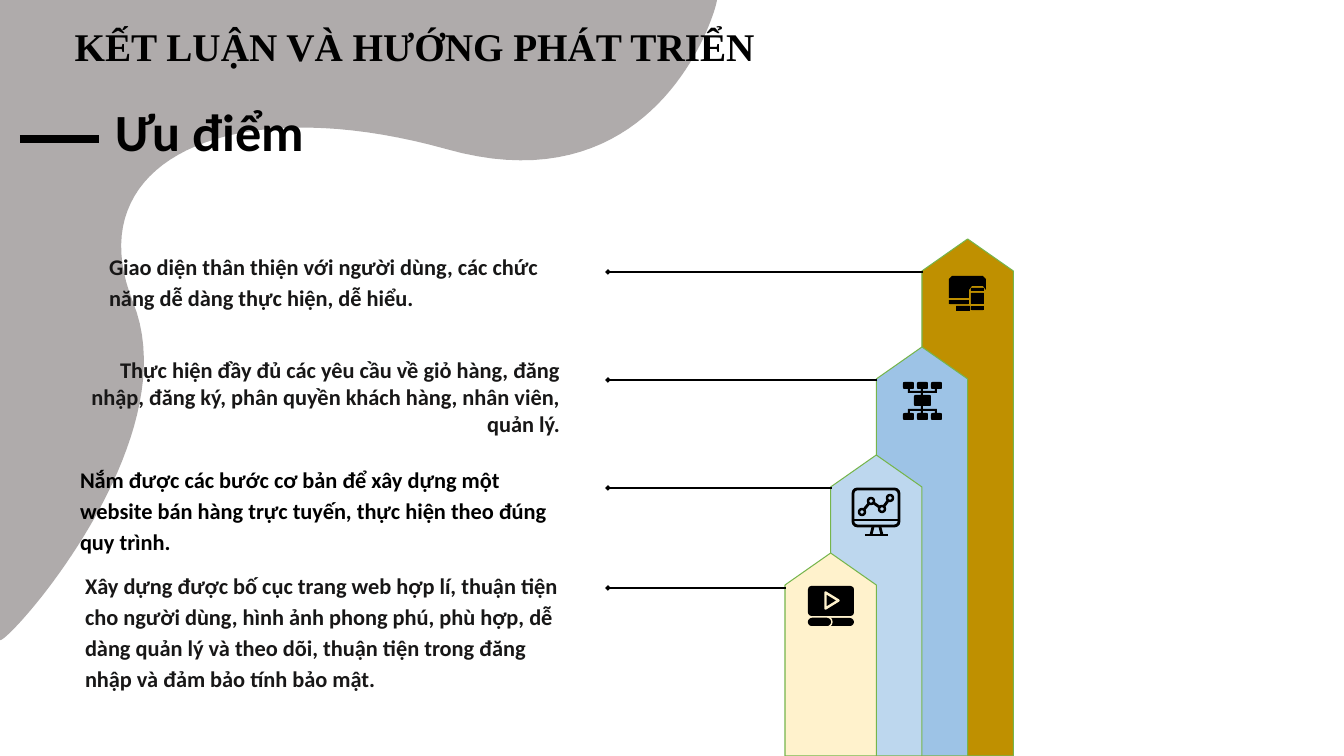
import pptx
import pptx.util
import pptx.dml.color
import pptx.enum.shapes
import pptx.enum.text
import pptx.oxml.ns
from lxml import etree

PX = 914400 / 100.8
WIDE, HIGH = 1344, 756
BLACK, INK, GREEN = "000000", "181717", "76B54C"
MSO = pptx.enum.shapes.MSO_SHAPE
ALIGN = pptx.enum.text.PP_ALIGN
ANCHOR = pptx.enum.text.MSO_ANCHOR

TITLE = "KẾT LUẬN VÀ HƯỚNG PHÁT TRIỂN"
HEAD = "Ưu điểm"
# text, left, top, width, indent, line spacing, alignment, colour
POINTS = [
    ("Giao diện thân thiện với người dùng, các chức năng dễ dàng thực hiện, dễ hiểu.",
     73, 236, 500, 23, 1.15, ALIGN.LEFT, INK),
    ("Thực hiện đầy đủ các yêu cầu về giỏ hàng, đăng nhập, đăng ký, phân quyền "
     "khách hàng, nhân viên, quản lý.",
     73, 343, 500, 0, 1.0, ALIGN.RIGHT, INK),
    ("Nắm được các bước cơ bản để xây dựng một website bán hàng trực tuyến, "
     "thực hiện theo đúng quy trình.",
     49, 449, 524, 18, 1.15, ALIGN.LEFT, BLACK),
    ("Xây dựng được bố cục trang web hợp lí, thuận tiện cho người dùng, hình ảnh "
     "phong phú, phù hợp, dễ dàng quản lý và theo dõi, thuận tiện trong đăng nhập "
     "và đảm bảo tính bảo mật.",
     49, 555, 524, 23, 1.15, ALIGN.LEFT, INK),
]
# top, colour, height of its pointer line
PILLARS = [(239, "BF9000", 272), (347, "9DC3E6", 380),
           (455, "BDD7EE", 488), (553, "FFF2CC", 588)]
PALE, CREAM = PILLARS[2][1], PILLARS[3][1]
FIRST, LAST, SLOPE, DOT = 922, 785, 32, 608
STEP = (FIRST - LAST) / (len(PILLARS) - 1)

BLOB = [(0, -1), (717, -1)]
CURVES = [((720, -1), (664, 211), (446, 149)),
          ((227, 88), (77, 163), (133, 302)),
          ((190, 442), (6, 646), (0, 640))]

# screen with a phone: one outline, then boxes
SCREEN = [(952, 276), (983, 276), (986, 279), (986, 290), (983, 286), (972, 286),
          (969, 290), (969, 298), (949, 298), (949, 279)]
PHONE = [(949, 300, 20, 4), (956, 306, 14, 5), (971, 288, 13, 3),
         (971, 293, 13, 11), (971, 306, 13, 4)]
# network: left, top, width, height, corner radius
NODES = ([(x, y, 11, 7, 3) for y in (382, 413) for x in (903, 917, 931)]
         + [(914, 395, 17, 11, 3)])
LINKS = ([(908, y, 29, 2, 0) for y in (391, 409)]
         + [(x, y, 2, 2, 0) for y in (389, 411) for x in (908, 921, 935)]
         + [(921, 393, 2, 2, 0), (921, 406, 2, 3, 0)])

# icon parts: shape, left, top, width, height, fill, line colour, line width
BOX, OVAL, PLAY = MSO.ROUNDED_RECTANGLE, MSO.OVAL, MSO.ISOSCELES_TRIANGLE
GRAPH = [(862, 512), (871, 501), (882, 509), (890, 498)]
ICONS = [
    {"lines": [((853, 520), (899, 520), BLACK, 2), ((865, 535), (888, 535), BLACK, 2),
               ((873, 527), (871, 535), BLACK, 2), ((880, 527), (882, 535), BLACK, 2)]
     + [(a, b, BLACK, 2) for a, b in zip(GRAPH, GRAPH[1:])],
     "parts": [(BOX, 853, 489, 46, 37, None, BLACK, 2)]
     + [(OVAL, x - 3, y - 3, 6, 6, PALE, BLACK, 1.75) for x, y in GRAPH]},
    {"parts": [(BOX, 808, 586, 46, 30, BLACK, None, 0),
               (BOX, 826, 618, 28, 8, BLACK, None, 0),
               (BOX, 807, 617, 25, 10, BLACK, CREAM, 1),
               (PLAY, 824, 594, 16, 13, BLACK, CREAM, 1.75)],
     "lines": []},
]


def emu(n):
    return round(n * PX)


def rgb(hue):
    return pptx.dml.color.RGBColor.from_string(hue)


def paint(shape, fill, line=None, width=0):
    shape.shadow.inherit = False
    if fill:
        shape.fill.solid()
        shape.fill.fore_color.rgb = rgb(fill)
    else:
        shape.fill.background()
    if line:
        shape.line.color.rgb = rgb(line)
        shape.line.width = pptx.util.Pt(width)
    else:
        shape.line.fill.background()


def outline(home, loops, fill, line=None, width=0):
    """One shape made of one or more closed loops."""
    loops = [[(emu(x), emu(y)) for x, y in loop] for loop in loops]
    pen = home.build_freeform(*loops[0][0], scale=1.0)
    for i, loop in enumerate(loops):
        if i:
            pen.move_to(*loop[0])
        pen.add_line_segments(loop[1:], close=True)
    paint(pen.convert_to_shape(), fill, line, width)


def bend(start, one, two, end, count=40):
    """Points along a cubic curve, without its start."""
    dots = []
    for i in range(1, count + 1):
        t = i / count
        u = 1 - t
        dots.append(tuple(u**3 * a + 3 * u * u * t * b + 3 * u * t * t * c + t**3 * d
                          for a, b, c, d in zip(start, one, two, end)))
    return dots


def tile(x, y, w, h, r):
    """Loop of a box with corners rounded by r."""
    if not r:
        return [(x, y), (x + w, y), (x + w, y + h), (x, y + h)]
    loop = []
    for cx, cy, dx, dy in ((x, y, 0, 1), (x + w, y, -1, 0),
                           (x + w, y + h, 0, -1), (x, y + h, 1, 0)):
        start = (cx + r * dx, cy + r * dy)
        end = (cx + r * dy, cy - r * dx)
        mid = (cx, cy)
        loop += [start] + bend(start, mid, mid, end, 5)
    return loop


def rule(home, start, end, hue, width, tip=None):
    line = home.add_connector(pptx.enum.shapes.MSO_CONNECTOR.STRAIGHT,
                              *[emu(n) for n in start + end])
    line.line.color.rgb = rgb(hue)
    line.line.width = pptx.util.Pt(width)
    qn = pptx.oxml.ns.qn
    props = line.element.spPr
    if tip:
        etree.SubElement(props.find(qn("a:ln")), qn("a:tailEnd"),
                         type=tip, w="sm", len="sm")
    etree.SubElement(props, qn("a:effectLst"))


def write(text, spot, size, font, hue, align=ALIGN.LEFT, space=1.0, indent=0,
          anchor=ANCHOR.TOP):
    frame = shapes.add_textbox(*[emu(n) for n in spot]).text_frame
    frame.word_wrap = True
    frame.vertical_anchor = anchor
    frame.margin_left = frame.margin_right = emu(13)
    frame.margin_top = frame.margin_bottom = emu(13)
    frame.text = text
    para = frame.paragraphs[0]
    para.alignment = align
    para.line_spacing = space
    if indent:
        props = para._p.get_or_add_pPr()
        props.set("marL", str(emu(indent)))
        props.set("indent", "0")
    face = para.runs[0].font
    face.size, face.name, face.bold = pptx.util.Pt(size), font, True
    face.color.rgb = rgb(hue)


deck = pptx.Presentation()
deck.slide_width, deck.slide_height = emu(WIDE), emu(HIGH)
shapes = deck.slides.add_slide(deck.slide_layouts[6]).shapes

blob = list(BLOB)
for curve in CURVES:
    blob += bend(blob[-1], *curve)
outline(shapes, [blob], "AFABAB")

for i, (top, hue, level) in enumerate(PILLARS):
    left = FIRST - i * STEP
    mid, right, edge = left + STEP, left + 2 * STEP, top + SLOPE
    outline(shapes, [[(mid, top), (left, edge), (left, HIGH), (right, HIGH),
                      (right, edge)]], hue, GREEN, 0.75)
    rule(shapes, (left + 1, level), (DOT, level), BLACK, 1.5, "diamond")

phone = shapes.add_group_shape().shapes
for loop in [SCREEN] + [tile(*box, 1) for box in PHONE]:
    outline(phone, [loop], BLACK)
outline(shapes, [tile(*box) for box in NODES + LINKS], BLACK)

for icon in ICONS:
    group = shapes.add_group_shape().shapes
    for line in icon["lines"]:
        rule(group, *line)
    for form, x, y, w, h, fill, line, width in icon["parts"]:
        shape = group.add_shape(form, *[emu(n) for n in (x, y, w, h)])
        paint(shape, fill, line, width)
        if form == PLAY:
            shape.rotation = 90
        elif form == BOX:
            shape.adjustments[0] = 0.5 if h <= 10 else 0.12

rule(shapes, (20, 139), (99, 139), BLACK, 6)
write(HEAD, (102, 93, 845, 99), 37.3, "Calibri", BLACK, space=0.9)
for text, left, top, width, indent, space, align, hue in POINTS:
    write(text, (left, top, width, 76), 16, "Calibri", hue, align, space, indent)
write(TITLE, (-29, -2, 887, 84), 28, "Times New Roman", BLACK, ALIGN.CENTER,
      anchor=ANCHOR.BOTTOM)

deck.save("out.pptx")
